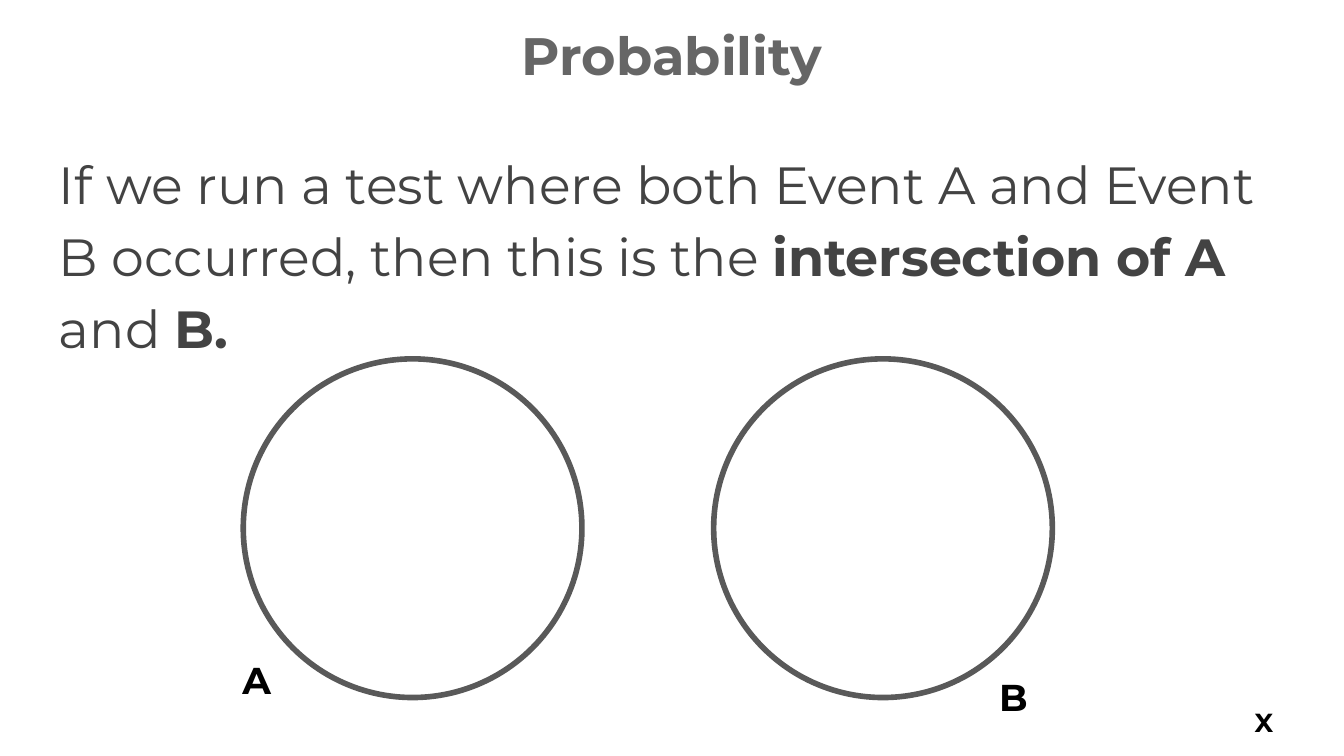
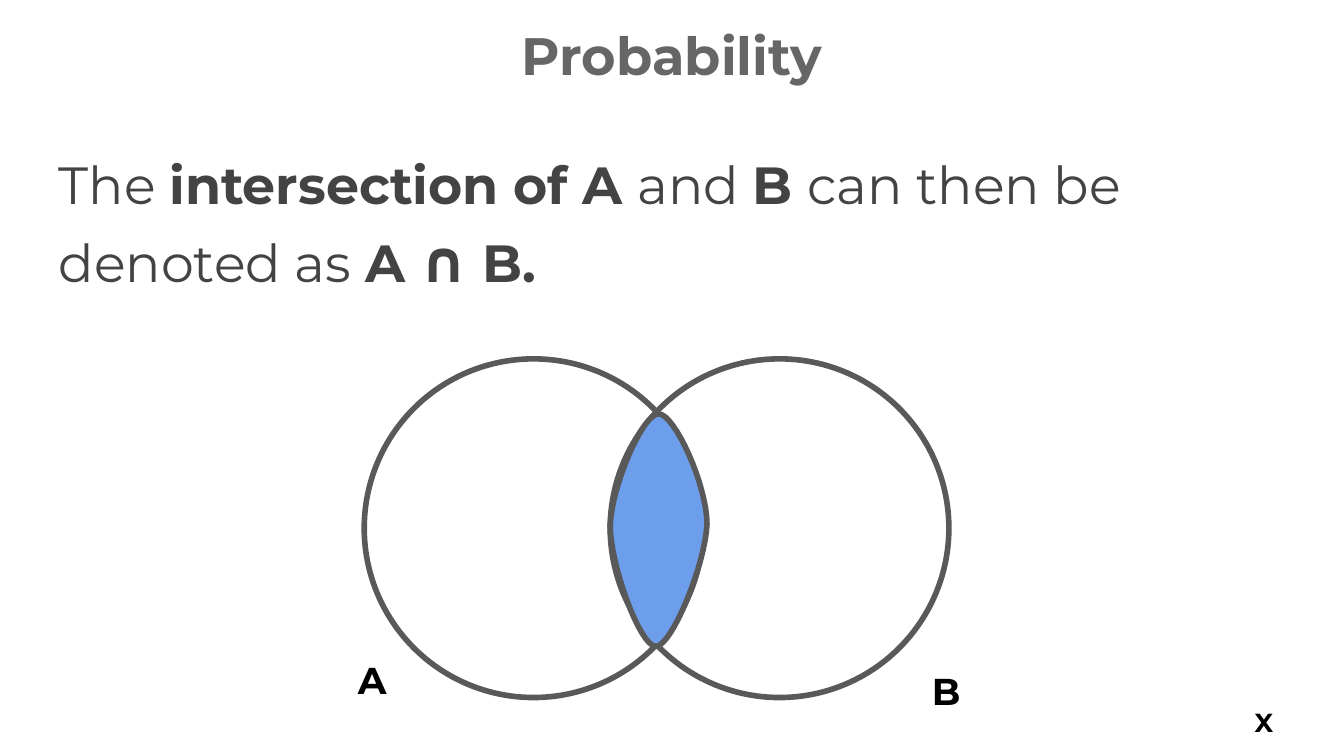
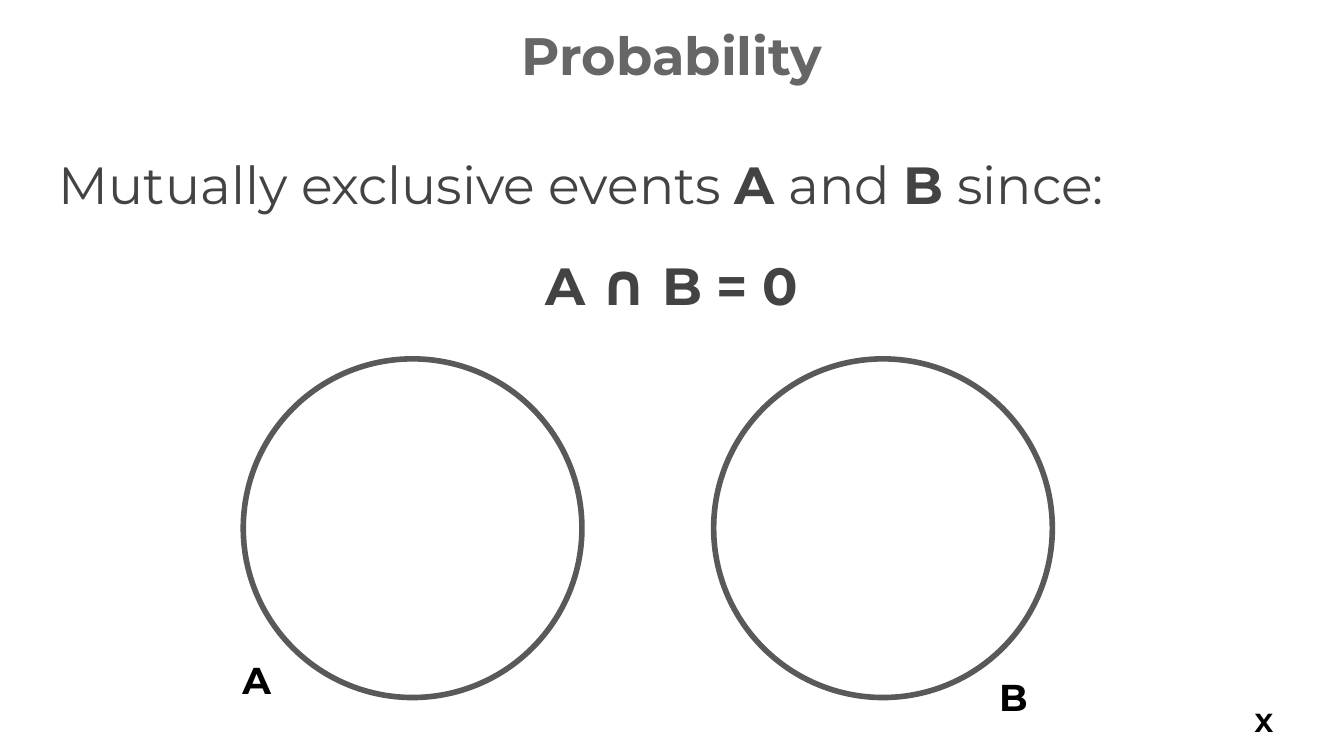
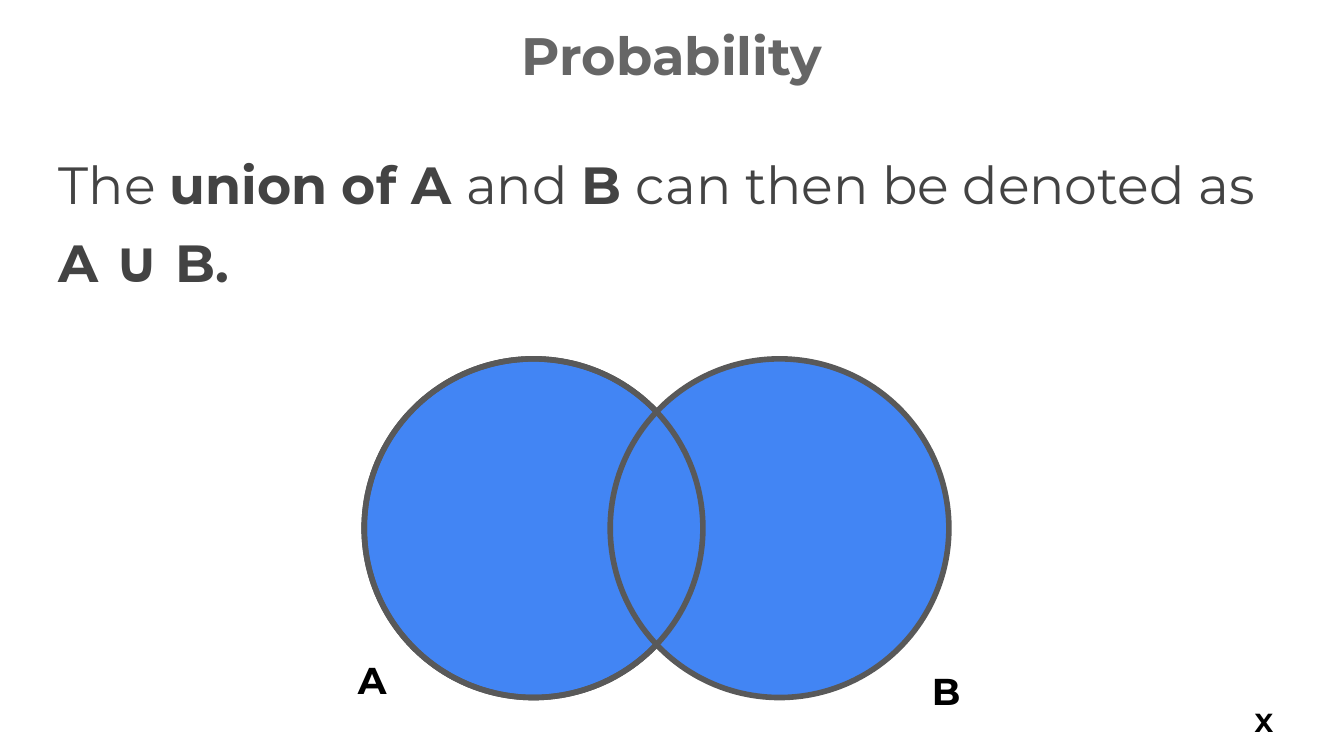
from itertools import groupby

from pptx import Presentation
from pptx.dml.color import RGBColor
from pptx.enum.shapes import MSO_SHAPE
from pptx.enum.text import MSO_ANCHOR, PP_ALIGN
from pptx.util import Inches, Pt

COLORS = {
    "title": "666666",
    "body": "434343",
    "label": "000000",
    "line": "595959",
    "lens": "6D9EEB",
    "union": "4285F4",
}
FONT = "Montserrat"
SIGNS = "∩∪"
LEFT, CENTER = PP_ALIGN.LEFT, PP_ALIGN.CENTER

# Circle tops and size, and the left edges and label corners of each layout
TOP, SIZE = 2.67, 2.52
APART = {"lefts": (1.81, 5.31), "labels": ((1.25, 4.79), (6.88, 4.91))}
CROSSED = {"lefts": (2.71, 4.54), "labels": ((2.11, 4.79), (6.38, 4.87))}

# Outline of the overlap: a start, then curves of two handles and an end
LENS_START = (4.9, 3.08)
LENS_CURVES = [
    ((4.78, 3.08), (4.55, 3.62), (4.54, 3.91)),
    ((4.54, 4.2), (4.76, 4.81), (4.88, 4.81)),
    ((5, 4.81), (5.25, 4.19), (5.26, 3.9)),
    ((5.26, 3.61), (5.02, 3.08), (4.9, 3.08)),
]


def rgb(name):
    return RGBColor.from_string(COLORS[name])


def add_runs(para, text, size, color, bold):
    """Add runs to a paragraph; *stars* switch bold, set signs are larger."""
    for i, part in enumerate(text.split("*")):
        for sign, chars in groupby(part, lambda c: c in SIGNS):
            run = para.add_run()
            run.text = "".join(chars)
            font = run.font
            font.name = FONT
            font.size = Pt(size + 3 if sign else size)
            font.bold = bold or i % 2 == 1
            font.color.rgb = rgb(color)


def add_text(slide, box, *lines, size=20, color="label", bold=True,
             aligns=(CENTER,), anchor=MSO_ANCHOR.MIDDLE, spacing=None, gap=0):
    frame = slide.shapes.add_textbox(*map(Inches, box)).text_frame
    frame.word_wrap = True
    frame.vertical_anchor = anchor
    frame.margin_left = frame.margin_right = Inches(0.1)
    frame.margin_top = frame.margin_bottom = Inches(0.1)
    for i, (line, align) in enumerate(zip(lines, aligns)):
        para = frame.add_paragraph() if i else frame.paragraphs[0]
        para.alignment = align
        if spacing:
            para.line_spacing = spacing
        if i:
            para.space_before = Pt(gap)
        add_runs(para, line, size, color, bold)


def paint(shape, fill=None):
    shape.shadow.inherit = False
    if fill:
        shape.fill.solid()
        shape.fill.fore_color.rgb = rgb(fill)
    else:
        shape.fill.background()
    shape.line.color.rgb = rgb("line")
    shape.line.width = Pt(3)


def add_circle(slide, left, fill=None):
    box = map(Inches, (left, TOP, SIZE, SIZE))
    paint(slide.shapes.add_shape(MSO_SHAPE.OVAL, *box), fill)


def add_venn(slide, plan, fill=None):
    for left in plan["lefts"]:
        add_circle(slide, left, fill)
    for name, spot in zip("AB", plan["labels"]):
        add_text(slide, (*spot, 1.32, 0.54), name)


def curve(start, one, two, end, steps=16):
    """Points along a cubic curve, without its start."""
    for i in range(1, steps + 1):
        t = i / steps
        u = 1 - t
        yield tuple(
            Inches(u**3 * a + 3 * u * u * t * b + 3 * u * t * t * c + t**3 * d)
            for a, b, c, d in zip(start, one, two, end))


def add_lens(slide):
    points, start = [], LENS_START
    for one, two, end in LENS_CURVES:
        points += curve(start, one, two, end)
        start = end
    build = slide.shapes.build_freeform(*map(Inches, LENS_START), scale=1.0)
    build.add_line_segments(points, close=True)
    paint(build.convert_to_shape(), "lens")


def add_slide(deck, *lines):
    """Start a slide with the shared title, its statement and the corner mark."""
    slide = deck.slides.add_slide(deck.slide_layouts[6])
    add_text(slide, (0.34, 0.07, 9.32, 0.63), "Probability", size=28.2,
             color="title", anchor=MSO_ANCHOR.TOP)
    add_text(slide, (0.34, 0.96, 9.32, 1.64), *lines, size=28, color="body",
             bold=False, aligns=(LEFT, CENTER), anchor=MSO_ANCHOR.TOP,
             spacing=1.15, gap=12)
    add_text(slide, (9.19, 5.17, 0.43, 0.4), "X", size=14)
    return slide


def main():
    deck = Presentation()
    deck.slide_width = Inches(10)
    deck.slide_height = Inches(10 * 9 / 16)

    # Two events
    slide = add_slide(
        deck, "If we run a test where both Event A and Event B occurred, "
        "then this is the *intersection of A *and *B.*")
    add_venn(slide, APART)

    # Intersection
    slide = add_slide(deck, "The *intersection of A *and *B *can then be "
                      "denoted as* A ∩ B.*")
    add_venn(slide, CROSSED)
    add_lens(slide)

    # Mutually exclusive events
    slide = add_slide(deck, "Mutually exclusive events *A* and *B* since:",
                      "*A ∩ B = 0*")
    add_venn(slide, APART)

    # Union, with the outline of A drawn again on top
    slide = add_slide(deck, "The *union of A *and *B *can then be "
                      "denoted as* A ∪ B.*")
    add_venn(slide, CROSSED, "union")
    add_circle(slide, CROSSED["lefts"][0])

    deck.save("out.pptx")


if __name__ == "__main__":
    main()
